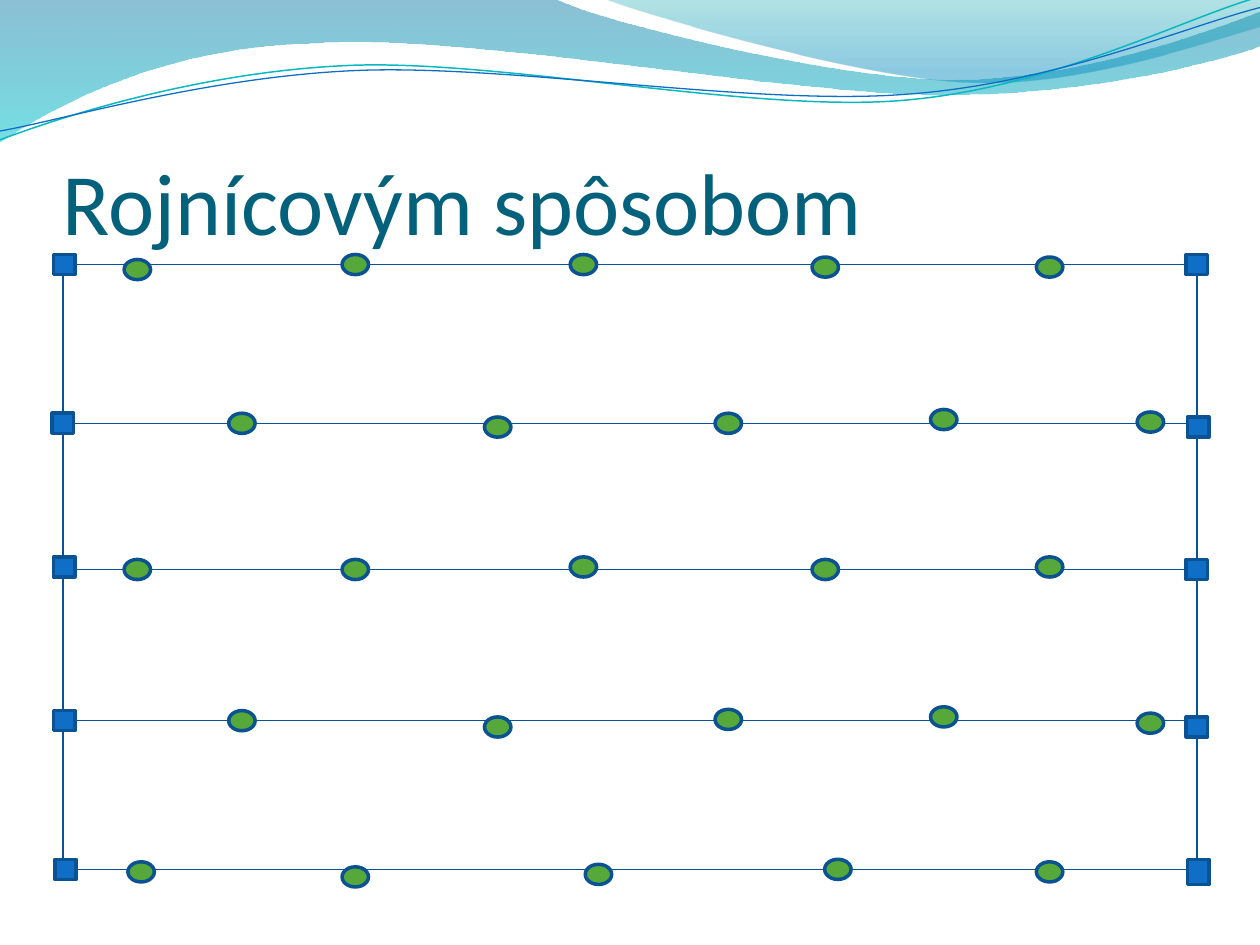
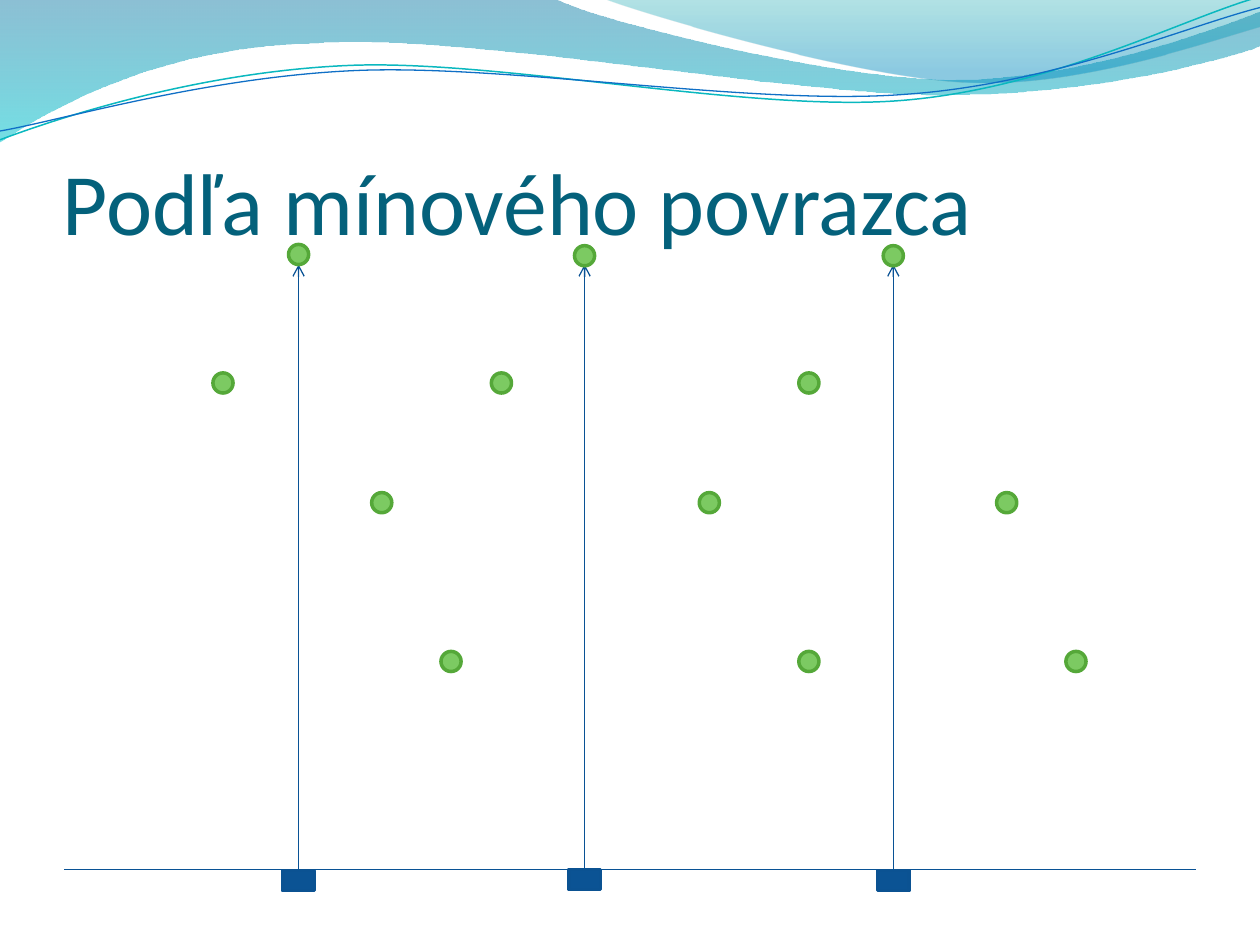
from dataclasses import dataclass, replace

from lxml.etree import SubElement
from pptx import Presentation
from pptx.dml.color import RGBColor
from pptx.enum.shapes import MSO_CONNECTOR, MSO_SHAPE
from pptx.enum.text import MSO_ANCHOR
from pptx.oxml.ns import qn
from pptx.util import Emu, Inches, Pt

SLIDE_WIDTH, SLIDE_HEIGHT = Inches(10), Inches(7.5)
COLUMN, ROW = SLIDE_WIDTH / 10, SLIDE_HEIGHT / 7.5

TITLE_FONT, TITLE_SIZE, TITLE_COLOR = "Calibri", 50, "04617B"
LINE_COLOR, LINE_WIDTH = "095295", 0.75

Point = tuple[float, float]


@dataclass(frozen=True)
class GradientStop:
    position: float
    color: str
    opacity: int


@dataclass(frozen=True)
class Wave:
    """A start point followed by straight (1 point) or curved (3 points) steps."""
    start: Point
    steps: tuple[tuple[Point, ...], ...]
    gradient: tuple[GradientStop, ...] = ()
    color: str = ""
    width: float = 0


@dataclass(frozen=True)
class Marker:
    preset: MSO_SHAPE
    width: float
    height: float
    fill: str
    outline: str


@dataclass(frozen=True)
class MineRow:
    level: float
    columns: tuple[float, ...]
    drifts: tuple[float, ...]
    left_stake: Point
    right_stake: Point


@dataclass(frozen=True)
class Cord:
    column: float
    base_top: float
    mine_level: float


WAVES = (
    Wave((0, 0), (
        ((4.4, -0.01),),
        ((4.76, 0.17), (6.64, 0.63), (7.58, 0.63)),
        ((8.53, 0.63), (9.58, 0.26), (10, 0.09)),
        ((10.01, 0.36),),
        ((9.83, 0.44), (8.7, 0.76), (7.46, 0.75)),
        ((6.22, 0.75), (3.82, 0.28), (2.57, 0.34)),
        ((1.29, 0.36), (0.46, 0.83), (-0.01, 1.13)),
        ((0, 0),),
    ), gradient=(GradientStop(0, "0074A1", 45), GradientStop(1, "00C6CF", 55))),
    Wave((4.79, -0.01), (
        ((5.09, 0.11), (6.82, 0.62), (7.69, 0.65)),
        ((8.56, 0.69), (9.61, 0.32), (10, 0.21)),
        ((10, 0),),
        ((4.79, -0.01),),
    ), gradient=(GradientStop(0, "00A1A9", 30), GradientStop(0.8, "008BBF", 45))),
    Wave((0, 1.11), (
        ((0.48, 0.93), (1.58, 0.57), (2.77, 0.52)),
        ((3.95, 0.47), (5.93, 0.89), (7.13, 0.8)),
        ((8.33, 0.71), (9.38, 0.15), (9.98, -0.02)),
    ), color="0AB8BF", width=0.85),
    Wave((0, 1.04), (
        ((0.47, 0.96), (1.64, 0.61), (2.83, 0.56)),
        ((4.03, 0.51), (5.97, 0.84), (7.17, 0.75)),
        ((8.36, 0.67), (9.41, 0.21), (10, 0.06)),
    ), color="0F6FC6", width=0.75),
)

STAKE = Marker(MSO_SHAPE.RECTANGLE, 0.17, 0.16, "0F6FC6", "0B5292")
TALL_STAKE = replace(STAKE, height=0.2)
BASE = replace(STAKE, width=0.25, fill="0B5394")
ROW_MINE = Marker(MSO_SHAPE.OVAL, 0.21, 0.16, "55A839", "0B5292")
CORD_MINE = Marker(MSO_SHAPE.OVAL, 0.16, 0.16, "7CCA62", "55A839")

# Mine rows: alternate rows are staggered, each mine drifts a little off its line
FIELD_LEFT, FIELD_RIGHT = 0.5, 9.5
ODD_COLUMNS = (1.09, 2.82, 4.63, 6.55, 8.33)
EVEN_COLUMNS = (1.92, 3.95, 5.78, 7.49, 9.13)
MINE_ROWS = (
    MineRow(2.1, ODD_COLUMNS, (0.04, 0, 0, 0.02, 0.02), (0.51, 2.1), (9.5, 2.1)),
    MineRow(3.36, EVEN_COLUMNS, (0, 0.03, 0, -0.03, -0.01), (0.5, 3.36), (9.51, 3.39)),
    MineRow(4.52, ODD_COLUMNS, (0, 0, -0.02, 0, -0.02), (0.51, 4.5), (9.5, 4.52)),
    MineRow(5.72, EVEN_COLUMNS, (0, 0.05, -0.01, -0.03, 0.02), (0.51, 5.72), (9.5, 5.77)),
    MineRow(6.9, (1.12, 2.82, 4.75, 6.65, 8.33), (0.02, 0.06, 0.04, 0, 0.02),
            (0.52, 6.9), (9.51, 6.92)),
)

# Mine cords, then rows of loose mines between them
CORDS = (Cord(2.37, 6.91, 2.02), Cord(4.64, 6.9, 2.03), Cord(7.09, 6.91, 2.03))
CORD_TOP, GROUND = 2.1, 6.9
LOOSE_MINES = {
    3.04: (1.77, 3.98, 6.42),
    3.99: (3.03, 5.63, 7.99),
    5.25: (3.58, 6.42, 8.54),
}


def rgb(color: str) -> RGBColor:
    return RGBColor.from_string(color)


def place(x: float, y: float) -> tuple[Emu, Emu]:
    return Emu(round(x * COLUMN)), Emu(round(y * ROW))


def bend_steps(shape, wave: Wave) -> None:
    """Join every three straight segments of a curved step into one Bezier curve."""
    segments = iter(list(shape.element.spPr.iter(qn("a:lnTo"))))
    for step in wave.steps:
        first, *others = [next(segments) for _ in step]
        if others:
            first.tag = qn("a:cubicBezTo")
        for other in others:
            first.append(other[0])
            other.getparent().remove(other)


def draw_wave(slide, wave: Wave) -> None:
    builder = slide.shapes.build_freeform(*place(*wave.start))
    points = [place(*point) for step in wave.steps for point in step]
    builder.add_line_segments(points, close=bool(wave.gradient))
    shape = builder.convert_to_shape()
    bend_steps(shape, wave)
    shape.shadow.inherit = False
    if not wave.gradient:
        shape.fill.background()
        shape.line.color.rgb = rgb(wave.color)
        shape.line.width = Pt(wave.width)
        return
    shape.line.fill.background()
    shape.fill.gradient()
    shape.fill.gradient_angle = 270
    for target, stop in zip(shape.fill.gradient_stops, wave.gradient):
        target.position = stop.position
        target.color.rgb = rgb(stop.color)
    # Opacity of each stop
    for element, stop in zip(shape.element.spPr.iter(qn("a:srgbClr")), wave.gradient):
        SubElement(element, qn("a:alpha")).set("val", str(stop.opacity * 1000))


def draw_title(slide, title: str) -> None:
    box = slide.shapes.add_textbox(*place(0.5, 0.76), *place(9, 1.25))
    frame = box.text_frame
    frame.word_wrap = True
    frame.vertical_anchor = MSO_ANCHOR.BOTTOM
    frame.margin_left = frame.margin_right = frame.margin_bottom = 0
    frame.margin_top = Inches(0.05)
    frame.text = title
    font = frame.paragraphs[0].runs[0].font
    font.name, font.size = TITLE_FONT, Pt(TITLE_SIZE)
    font.color.rgb = rgb(TITLE_COLOR)


def draw_marker(slide, marker: Marker, x: float, y: float):
    """Draw a marker centred on the given column and row."""
    shape = slide.shapes.add_shape(
        marker.preset, *place(x - marker.width / 2, y - marker.height / 2),
        *place(marker.width, marker.height))
    shape.shadow.inherit = False
    shape.fill.solid()
    shape.fill.fore_color.rgb = rgb(marker.fill)
    shape.line.color.rgb = rgb(marker.outline)
    shape.line.width = Pt(2)
    return shape


def draw_line(slide, start: Point, end: Point, arrow: bool = False):
    connector = slide.shapes.add_connector(
        MSO_CONNECTOR.STRAIGHT, *place(*start), *place(*end))
    connector.line.color.rgb = rgb(LINE_COLOR)
    connector.line.width = Pt(LINE_WIDTH)
    properties = connector.element.spPr
    if arrow:
        SubElement(properties.find(qn("a:ln")), qn("a:tailEnd")).set("type", "arrow")
    SubElement(properties, qn("a:effectLst"))
    return connector


def add_titled_slide(presentation, title: str):
    slide = presentation.slides.add_slide(presentation.slide_layouts[6])
    for wave in WAVES:
        draw_wave(slide, wave)
    draw_title(slide, title)
    return slide


def build_row_slide(presentation) -> None:
    slide = add_titled_slide(presentation, "Rojnícovým spôsobom")
    # Field grid
    for row in MINE_ROWS:
        draw_line(slide, (FIELD_LEFT, row.level), (FIELD_RIGHT, row.level))
    for side in (FIELD_LEFT, FIELD_RIGHT):
        draw_line(slide, (side, MINE_ROWS[0].level), (side, MINE_ROWS[-1].level))
    # Stakes
    for row in MINE_ROWS:
        draw_marker(slide, STAKE, *row.left_stake)
        right_marker = TALL_STAKE if row is MINE_ROWS[-1] else STAKE
        draw_marker(slide, right_marker, *row.right_stake)
    # Mines
    for row in MINE_ROWS:
        for x, drift in zip(row.columns, row.drifts):
            draw_marker(slide, ROW_MINE, x, row.level + drift)


def build_cord_slide(presentation) -> None:
    slide = add_titled_slide(presentation, "Podľa mínového povrazca")
    draw_line(slide, (0.51, GROUND), (9.49, GROUND))
    # Bases and the cords rising from them
    bases = [draw_marker(slide, BASE, cord.column, cord.base_top + BASE.height / 2)
             for cord in CORDS]
    for cord, base in zip(CORDS, bases):
        arrow = draw_line(slide, (cord.column, cord.base_top), (cord.column, CORD_TOP),
                          arrow=True)
        arrow.begin_connect(base, 0)
    # Mines at the tips, then loose mines
    for cord in CORDS:
        draw_marker(slide, CORD_MINE, cord.column, cord.mine_level)
    for y, columns in LOOSE_MINES.items():
        for x in columns:
            draw_marker(slide, CORD_MINE, x, y)


def main() -> None:
    presentation = Presentation()
    presentation.slide_width, presentation.slide_height = SLIDE_WIDTH, SLIDE_HEIGHT
    build_row_slide(presentation)
    build_cord_slide(presentation)
    presentation.save("out.pptx")


if __name__ == "__main__":
    main()
